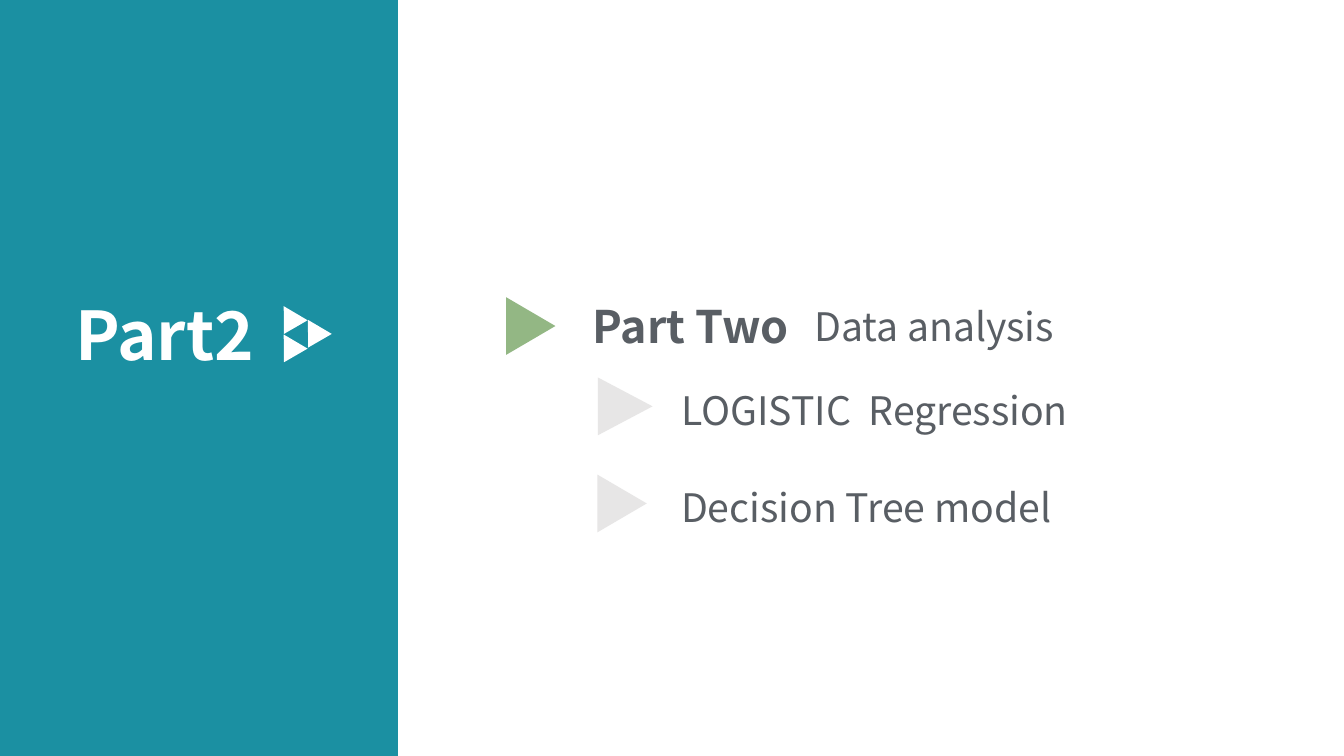
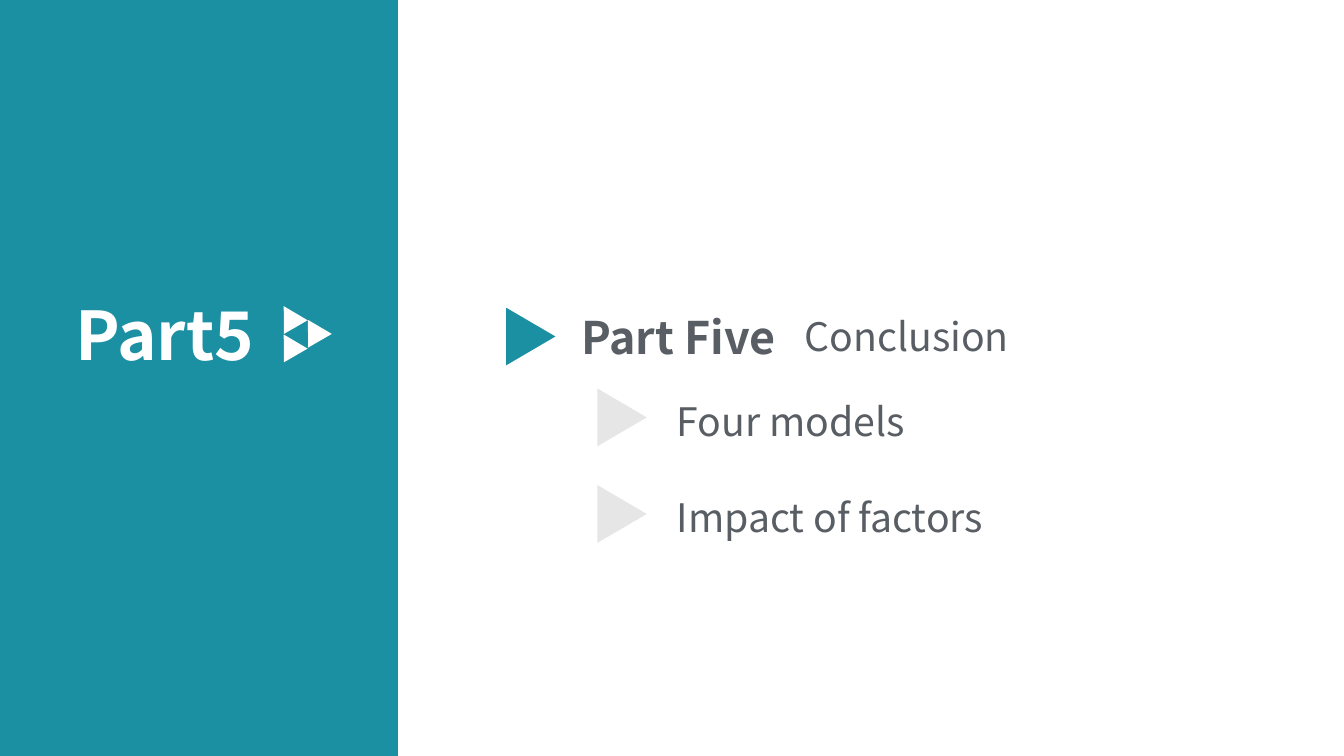
from dataclasses import dataclass

from pptx import Presentation
from pptx.dml.color import RGBColor
from pptx.enum.shapes import MSO_SHAPE as Preset
from pptx.enum.text import MSO_ANCHOR as Anchor, MSO_AUTO_SIZE as AutoSize, PP_ALIGN as Align
from pptx.oxml.xmlchemy import OxmlElement
from pptx.shapes.autoshape import Shape
from pptx.slide import Slide
from pptx.util import Pt

PX = 9525
PAGE_WIDTH, PAGE_HEIGHT = 1280, 720
BAND_WIDTH = 379
FONT = "Noto Sans CJK SC"

TEAL = RGBColor(0x1B, 0x90, 0xA2)
GREEN = RGBColor(0x93, 0xB7, 0x84)
PALE = RGBColor(0xE7, 0xE6, 0xE6)
SLATE = RGBColor(0x59, 0x5E, 0x64)
WHITE = RGBColor(0xFF, 0xFF, 0xFF)

MARKER_HEIGHT, MARKER_DEPTH = 55, 47
HEADING_MARKER_LEFT, ITEM_MARKER_LEFT = 482, 569
ITEM_MARKER_DROP, ITEM_PITCH = 77, 92
LIST_DROP = 33
EMBLEM_CORNERS = ((263, 290), (263, 317), (286, 303))


@dataclass(frozen=True)
class Item:
    text: str
    marker_depth: int = MARKER_DEPTH


@dataclass(frozen=True)
class Section:
    label: str
    heading: str
    heading_left: int
    topic: str
    topic_left: int
    items: tuple[Item, ...]
    items_left: int
    top: int
    accent: RGBColor


SECTIONS = (
    Section("Part2", "Part Two", 555, "Data analysis", 766,
            (Item("LOGISTIC  Regression", 52), Item("Decision Tree model")),
            639, 283, GREEN),
    Section("Part5", "Part Five", 544, "Conclusion", 757,
            (Item("Four models"), Item("Impact of factors")),
            635, 293, TEAL),
)


def place(shape: Shape, left: int, top: int, width: int, height: int) -> None:
    shape.left, shape.top = left * PX, top * PX
    shape.width, shape.height = width * PX, height * PX


def write(shape: Shape, *lines: str, size: int = 28, color: RGBColor = SLATE,
          bold: bool = False, line_pitch: int | None = None) -> None:
    """Fill a shape with top-left text, one unbulleted paragraph per line."""
    frame = shape.text_frame
    frame.word_wrap = True
    frame.auto_size = AutoSize.NONE
    frame.vertical_anchor = Anchor.TOP
    for index, line in enumerate(lines):
        para = frame.add_paragraph() if index else frame.paragraphs[0]
        para.alignment = Align.LEFT
        para.space_before = Pt(0)
        if line_pitch:
            para.line_spacing = Pt(line_pitch * 0.75)
        properties = para._p.get_or_add_pPr()
        properties.set("marL", "0")
        properties.set("indent", "0")
        properties.append(OxmlElement("a:buNone"))
        span = para.add_run()
        span.text = line
        font = span.font
        font.name, font.size, font.bold = FONT, Pt(size), bold
        font.color.rgb = color
        east_asian = OxmlElement("a:ea")
        east_asian.set("typeface", FONT)
        span._r.get_or_add_rPr().find(
            "{http://schemas.openxmlformats.org/drawingml/2006/main}latin"
        ).addnext(east_asian)


def add_text(page: Slide, text: str, left: int, top: int, width: int,
             height: int, **style) -> None:
    box = page.shapes.add_textbox(0, 0, 0, 0)
    place(box, left, top, width, height)
    write(box, text, **style)


def add_solid(page: Slide, preset: Preset, left: int, top: int, width: int,
              height: int, color: RGBColor, rotation: int = 0) -> Shape:
    shape = page.shapes.add_shape(preset, 0, 0, 0, 0)
    place(shape, left, top, width, height)
    shape.rotation = rotation
    shape.shadow.inherit = False
    shape.fill.solid()
    shape.fill.fore_color.rgb = color
    shape.line.fill.background()
    return shape


def add_marker(page: Slide, left: int, top: int, color: RGBColor,
               depth: int = MARKER_DEPTH) -> None:
    """Draw a triangle pointing right; left and top are its visible corner."""
    shift = (MARKER_HEIGHT - depth) // 2
    add_solid(page, Preset.ISOSCELES_TRIANGLE, left - shift, top + shift,
              MARKER_HEIGHT, depth, color, 90)


def add_side_band(page: Slide, label: str) -> None:
    title = page.shapes.title
    band = add_solid(page, Preset.RECTANGLE, 0, 0, BAND_WIDTH, PAGE_HEIGHT, TEAL)
    title.element.addprevious(band.element)
    place(title, 62, 275, 210, 87)
    write(title, label, size=48, color=WHITE, bold=True)
    for left, top in EMBLEM_CORNERS:
        add_solid(page, Preset.ISOSCELES_TRIANGLE, left, top, 26, 23, WHITE, 330)


def add_section(page: Slide, section: Section) -> None:
    add_side_band(page, section.label)
    add_marker(page, HEADING_MARKER_LEFT, section.top, section.accent)
    add_text(page, section.heading, section.heading_left, section.top - 3,
             224, 61, size=32, bold=True)
    add_text(page, section.topic, section.topic_left, section.top, 384, 55)
    for index, item in enumerate(section.items):
        add_marker(page, ITEM_MARKER_LEFT,
                   section.top + ITEM_MARKER_DROP + index * ITEM_PITCH,
                   PALE, item.marker_depth)
    body = page.placeholders[1]
    place(body, section.items_left, section.top + LIST_DROP, 586,
          len(section.items) * ITEM_PITCH + 10)
    write(body, *(item.text for item in section.items), line_pitch=ITEM_PITCH)


def main() -> None:
    deck = Presentation()
    deck.slide_width, deck.slide_height = PAGE_WIDTH * PX, PAGE_HEIGHT * PX
    for section in SECTIONS:
        add_section(deck.slides.add_slide(deck.slide_layouts[1]), section)
    deck.save("out.pptx")


if __name__ == "__main__":
    main()
